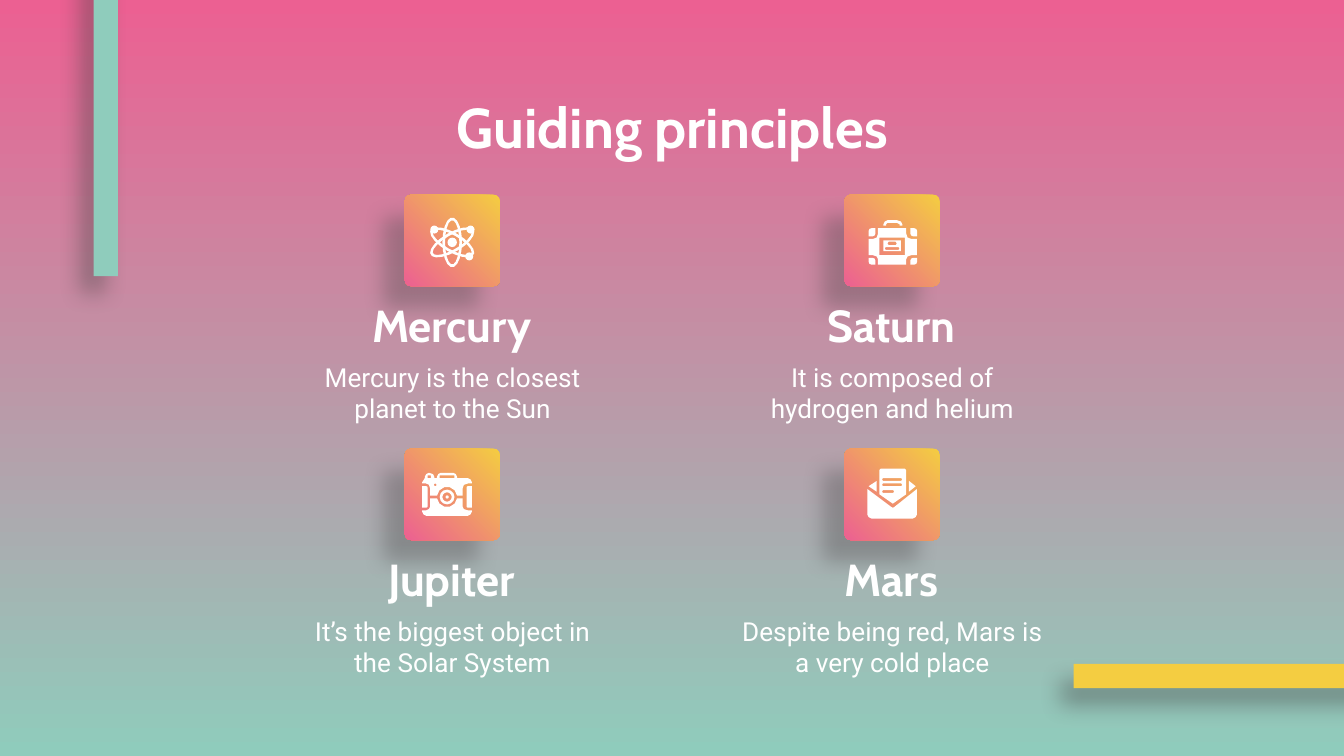
from dataclasses import dataclass
from math import cos, radians, sin

from lxml.etree import SubElement
from pptx import Presentation
from pptx.dml.color import RGBColor
from pptx.enum.shapes import MSO_SHAPE
from pptx.enum.text import MSO_ANCHOR, PP_ALIGN
from pptx.oxml.ns import qn
from pptx.util import Cm, Pt

PINK, MINT, YELLOW, WHITE, SHADE = "EC6092", "8FCCBC", "F4CD41", "FFFFFF", "434343"
ICON_UNIT = Cm(0.0254)
TILE_LEFT, TILE_TOP, TILE_WIDTH, TILE_HEIGHT = 7.65, 3.68, 1.8, 1.73
COLUMN_STEP, ROW_STEP = 8.31, 4.8

Contour = list[tuple[float, float]]
Icon = list[list[Contour]]


@dataclass(frozen=True)
class Shadow:
    opacity: int
    blur: float
    distance: float
    direction: int


@dataclass(frozen=True)
class TextStyle:
    font: str
    size: int
    bold: bool


@dataclass(frozen=True)
class Bar:
    left: float
    top: float
    width: float
    height: float
    color: str


@dataclass(frozen=True)
class Principle:
    planet: str
    fact: str
    icon: Icon


BAR_SHADOW = Shadow(43, 12.4, 11.2, 129)
TILE_SHADOW = Shadow(32, 11.2, 16.5, 135)
TITLE = TextStyle("Cabin", 30, True)
HEADING = TextStyle("Cabin", 24, True)
BODY = TextStyle("Roboto", 14, False)


def rgb(color: str) -> RGBColor:
    return RGBColor.from_string(color)


def arc(cx, cy, rx, ry, start=0, end=360, turn=0) -> Contour:
    """Points along an ellipse, angles in degrees clockwise from the right."""
    radius = max(rx, ry)
    if radius == 0:
        return [(cx, cy)]
    step = 45 if radius < 3 else 30 if radius < 10 else 20
    count = round(abs(end - start) / step)
    c, s = cos(radians(turn)), sin(radians(turn))
    points = []
    for index in range(count + 1):
        angle = radians(start + (end - start) * index / count)
        x, y = rx * cos(angle), ry * sin(angle)
        points.append((cx + x * c - y * s, cy + x * s + y * c))
    return points


def dot(cx, cy, radius) -> Contour:
    return arc(cx, cy, radius, radius)


def box(left, top, right, bottom, tl=0, tr=0, br=0, bl=0) -> Contour:
    """Rectangle with a rounding radius for each corner."""
    return (arc(left + tl, top + tl, tl, tl, 180, 270)
            + arc(right - tr, top + tr, tr, tr, 270, 360)
            + arc(right - br, bottom - br, br, br, 0, 90)
            + arc(left + bl, bottom - bl, bl, bl, 90, 180))


def slot(left, top, right, bottom) -> Contour:
    """Narrow bar with pointed ends."""
    middle, inset = (top + bottom) / 2, (bottom - top) / 3
    return [(left, middle), (left + inset, top), (right - inset, top),
            (right, middle), (right - inset, bottom), (left + inset, bottom)]


def orbit(turn) -> list[Contour]:
    return [arc(35.3, 35.5, 7.3, 18.5, turn=turn), arc(35.3, 35.5, 5.3, 16.5, turn=turn)]


ATOM: Icon = [
    *(orbit(turn) for turn in (0, 60, -60)),
    *([dot(x, y, 3)] for x, y in ((22, 26), (49, 26), (48, 46))),
    [dot(35.3, 35.5, 3.5)],
]
SUITCASE: Icon = [
    [box(18, 25, 23, 31, tl=2, br=2)],
    [box(49, 25, 54, 31, tr=2, bl=2)],
    [box(18, 47, 23, 52, bl=2, tr=2)],
    [box(49, 47, 54, 52, br=2, tl=2)],
    [[(25, 25), (46, 25), (46, 29), (47, 32), (50, 33), (54, 33), (54, 45), (50, 45),
      (47, 46), (46, 48), (46, 52), (25, 52), (25, 48), (24, 46), (21, 45), (18, 45),
      (18, 33), (21, 33), (24, 32), (25, 29)],
     box(26, 32, 45, 45)],
    [box(29, 34, 42, 42), slot(32, 35, 39, 37.5), slot(30, 39, 41, 41)],
    [[(29, 23), (29, 22), (30, 20), (32, 19), (39, 19), (42, 20), (43, 22), (43, 23),
      (41, 23), (41, 22), (39, 21), (32, 21), (31, 22), (31, 23)]],
]
CAMERA: Icon = [
    [dot(31.5, 36, 1.2)],
    [dot(31.5, 36, 5.5), dot(31.5, 36, 3.5)],
    [box(13, 28, 17, 44, tr=1, br=1)],
    [box(46, 28, 50, 44, tl=1, bl=1)],
    [[(13, 26), (13, 25), (15, 22), (15, 21), (16, 19), (18, 18), (21, 19), (22, 21),
      (22, 22), (24, 22), (24, 21), (25, 19), (27, 18), (36, 18), (38, 19), (39, 21),
      (39, 22), (47, 22), (49, 23), (50, 25), (50, 26), (47, 26), (44, 27), (43, 30),
      (43, 35), *arc(31.5, 36, 7.5, 7.5, -8, -172), (19, 35), (19, 30), (18, 27), (16, 26)],
     box(17, 20, 19.5, 22), box(26, 20, 37, 22), dot(22.7, 27, 1)],
    [[(13, 46), (13, 47), (14, 49), (16, 50), (47, 50), (49, 49), (50, 47), (50, 46),
      (47, 46), (44, 45), (43, 43), (43, 37), *arc(31.5, 36, 7.5, 7.5, 8, 172),
      (19, 37), (19, 43), (18, 45), (16, 46)]],
]
ENVELOPE: Icon = [
    [[(17, 30), (35, 43.5), (36, 44), (37, 43.5), (54, 30), (54, 49), (53, 51),
      (51, 52), (20, 52), (18, 51), (17, 49)]],
    [[(48, 24), (48, 32), (53, 28)]],
    [[(24, 24), (18, 28), (24, 32)]],
    [[(26, 16), (27, 15), (45, 15), (46, 16), (46, 34), (36, 41), (26, 34)],
     slot(28, 22, 43, 24), slot(28, 26, 43, 28), slot(28, 31, 37, 33)],
]

PRINCIPLES = [
    Principle("Mercury", "Mercury is the closest planet to the Sun", ATOM),
    Principle("Saturn", "It is composed of hydrogen and helium", SUITCASE),
    Principle("Jupiter", "It’s the biggest object in the Solar System", CAMERA),
    Principle("Mars", "Despite being red, Mars is a very cold place", ENVELOPE),
]
BARS = [Bar(20.29, 12.55, 7.09, 0.46, YELLOW), Bar(1.77, -1.87, 0.46, 7.09, MINT)]


def fill_gradient(fill, first: str, last: str, angle: int) -> None:
    fill.gradient()
    fill.gradient_angle = angle
    for stop, color in zip(fill.gradient_stops, (first, last)):
        stop.color.rgb = rgb(color)


def fill_plain(shape, color: str) -> None:
    shape.fill.solid()
    shape.fill.fore_color.rgb = rgb(color)
    shape.line.fill.background()
    shape.shadow.inherit = False


def cast_shadow(shape, shadow: Shadow) -> None:
    shape.shadow.inherit = False
    effects = shape._element.spPr.find(qn("a:effectLst"))
    outer = SubElement(effects, qn("a:outerShdw"), blurRad=str(Pt(shadow.blur)),
                       dist=str(Pt(shadow.distance)), dir=str(shadow.direction * 60000),
                       algn="bl", rotWithShape="0")
    tint = SubElement(outer, qn("a:srgbClr"), val=SHADE)
    SubElement(tint, qn("a:alpha"), val=str(shadow.opacity * 1000))


def draw_bar(slide, bar: Bar) -> None:
    shape = slide.shapes.add_shape(MSO_SHAPE.RECTANGLE, Cm(bar.left), Cm(bar.top),
                                   Cm(bar.width), Cm(bar.height))
    fill_plain(shape, bar.color)
    cast_shadow(shape, BAR_SHADOW)


def draw_tile(slide, left: float, top: float) -> None:
    tile = slide.shapes.add_shape(MSO_SHAPE.ROUNDED_RECTANGLE, Cm(left), Cm(top),
                                  Cm(TILE_WIDTH), Cm(TILE_HEIGHT))
    tile.adjustments[0] = 0.07
    fill_gradient(tile.fill, YELLOW, PINK, 225)
    tile.line.fill.background()
    cast_shadow(tile, TILE_SHADOW)


def draw_icon(slide, icon: Icon, left: float, top: float) -> None:
    for piece in icon:
        outline, *holes = [[(x * ICON_UNIT, y * ICON_UNIT) for x, y in contour]
                           for contour in piece]
        builder = slide.shapes.build_freeform(*outline[0])
        builder.add_line_segments(outline[1:], close=True)
        for hole in holes:
            builder.move_to(*hole[0])
            builder.add_line_segments(hole[1:], close=True)
        fill_plain(builder.convert_to_shape(Cm(left), Cm(top)), WHITE)


def write(slide, words: str, style: TextStyle, left: float, top: float,
          width: float, height: float) -> None:
    frame = slide.shapes.add_textbox(Cm(left), Cm(top), Cm(width), Cm(height)).text_frame
    frame.word_wrap = True
    frame.vertical_anchor = MSO_ANCHOR.TOP
    frame.margin_left = frame.margin_right = Cm(0.25)
    frame.margin_top = frame.margin_bottom = Cm(0.25)
    frame.text = words
    paragraph = frame.paragraphs[0]
    paragraph.alignment = PP_ALIGN.CENTER
    font = paragraph.runs[0].font
    font.name, font.size, font.bold = style.font, Pt(style.size), style.bold
    font.color.rgb = rgb(WHITE)


def main() -> None:
    deck = Presentation()
    deck.slide_width, deck.slide_height = Cm(25.4), Cm(14.29)
    slide = deck.slides.add_slide(deck.slide_layouts[6])
    fill_gradient(slide.background.fill, PINK, MINT, 270)
    for bar in BARS:
        draw_bar(slide, bar)
    write(slide, "Guiding principles", TITLE, 2, 1.5, 21.41, 1.32)
    for index, principle in enumerate(PRINCIPLES):
        row, column = divmod(index, 2)
        left, top = TILE_LEFT + column * COLUMN_STEP, TILE_TOP + row * ROW_STEP
        draw_tile(slide, left, top)
        draw_icon(slide, principle.icon, left, top)
        write(slide, principle.planet, HEADING, left - 2.66, top + 1.7, 7.09, 1.04)
        write(slide, principle.fact, BODY, left - 2.31, top + 2.9, 6.43, 1.93)
    deck.save("out.pptx")


if __name__ == "__main__":
    main()
